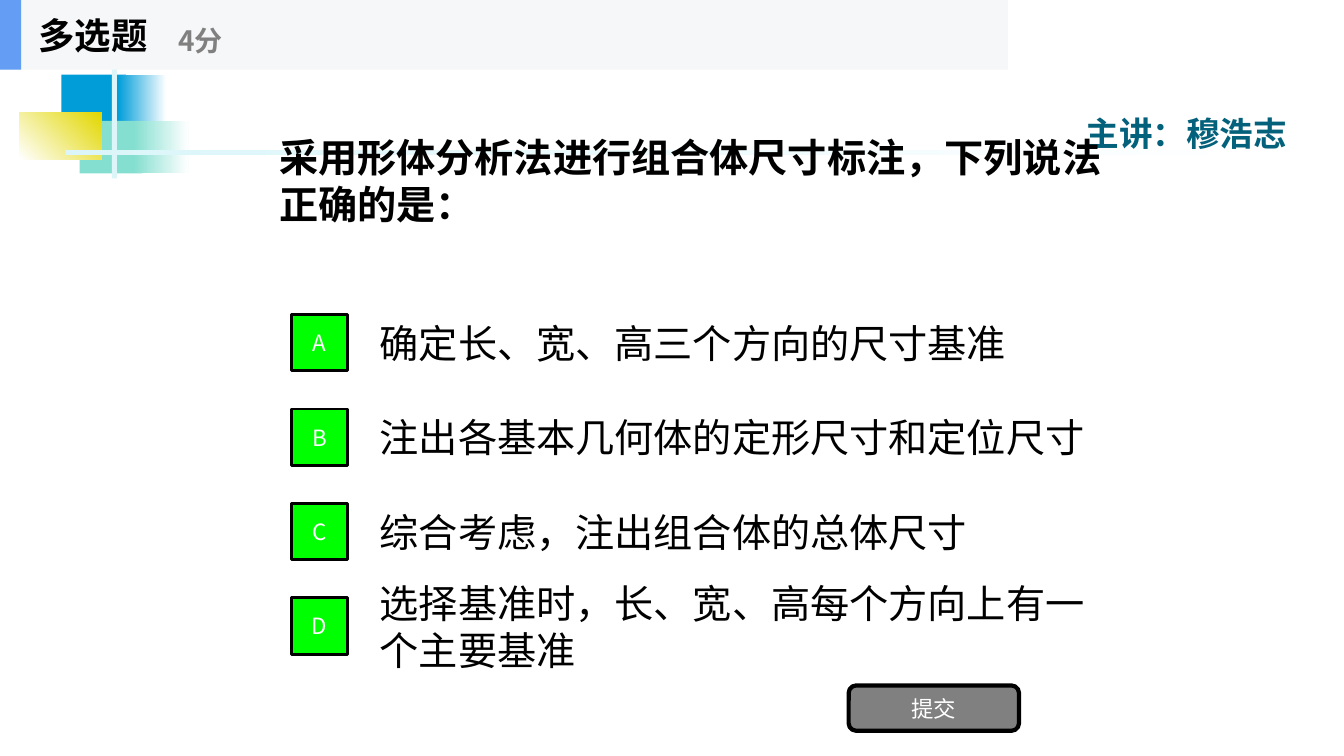
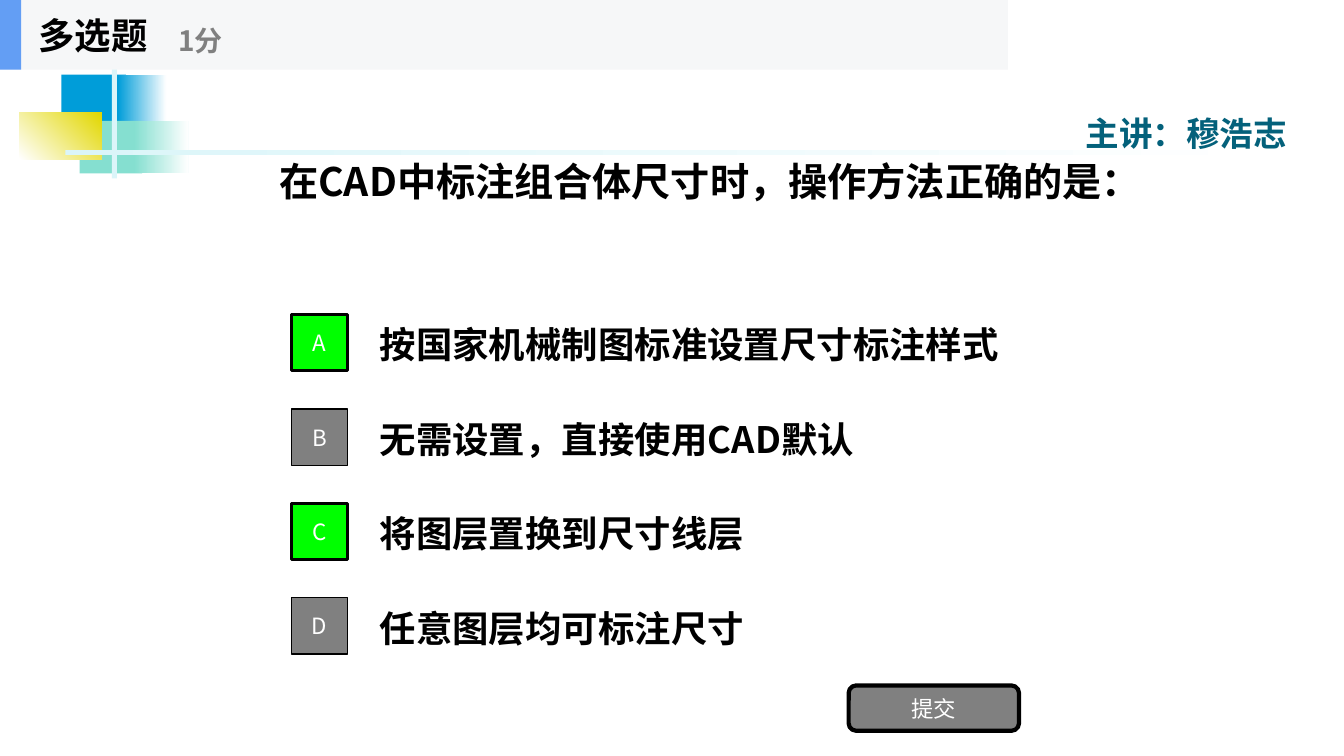
from dataclasses import dataclass

from lxml import etree
from pptx import Presentation
from pptx.dml.color import RGBColor
from pptx.enum.shapes import MSO_SHAPE
from pptx.enum.text import MSO_ANCHOR, MSO_AUTO_SIZE, PP_ALIGN
from pptx.oxml.ns import qn
from pptx.util import Pt

RECT, ROUNDED = MSO_SHAPE.RECTANGLE, MSO_SHAPE.ROUNDED_RECTANGLE
LEFT, CENTER = PP_ALIGN.LEFT, PP_ALIGN.CENTER
MIDDLE = MSO_ANCHOR.MIDDLE
TITLE_ONLY = 5


@dataclass(frozen=True)
class Theme:
    font: str = "Noto Sans CJK SC"
    black: str = "000000"
    white: str = "FFFFFF"
    gray: str = "808080"
    correct: str = "00FF00"
    blue: str = "009DD9"
    mint: str = "85DFD0"
    yellow: str = "E2D700"
    pale: str = "DBF5F9"
    teal: str = "04617B"
    band: str = "F6F7F8"
    accent: str = "639EF4"
    question_size: int = 28
    kind_size: int = 26
    presenter_size: int = 24
    score_size: int = 20
    label_size: int = 16
    leading: float = 33.5


T = Theme()

KIND = "多选题"
PRESENTER = "主讲：穆浩志"
SUBMIT = "提交"

# Each option: text, whether it is correct, box width
QUESTIONS = [
    {
        "score": "4分",
        "question": "采用形体分析法进行组合体尺寸标注，下列说法正确的是：",
        "box": (192.2, 79.9, 611.3, 97.9),
        "format": {"size": 28},
        "options": [
            ("确定长、宽、高三个方向的尺寸基准", True, 504),
            ("注出各基本几何体的定形尺寸和定位尺寸", True, 539.3),
            ("综合考虑，注出组合体的总体尺寸", True, 504),
            ("选择基准时，长、宽、高每个方向上有一个主要基准", True, 539.3),
        ],
    },
    {
        "score": "1分",
        "question": "在CAD中标注组合体尺寸时，操作方法正确的是：",
        "box": (192.2, 89.3, 602.6, 79.2),
        "format": {"size": 26, "bold": True},
        "options": [
            ("按国家机械制图标准设置尺寸标注样式", True, 504),
            ("无需设置，直接使用CAD默认", False, 504),
            ("将图层置换到尺寸线层", True, 504),
            ("任意图层均可标注尺寸", False, 504),
        ],
    },
]

# Box, fill (a colour, or a pair for a gradient), gradient angle
ORNAMENTS = [
    ((43.9, 53.3, 46.1, 37.4), T.blue, 0),
    ((84.2, 53.3, 34.6, 37.4), (T.blue, T.white), 0),
    ((56.9, 86.4, 44.6, 37.4), T.mint, 0),
    ((95.8, 86.4, 38.9, 37.4), (T.mint, T.white), 0),
    ((13.7, 80.6, 59, 33.1), (T.white, T.yellow), 45),
    ((79.9, 44.6, 3.6, 82.8), T.pale, 0),
    ((46.8, 107.3, 864, 3.6), (T.pale, T.white), 0),
]

OPTION_TOP, OPTION_STEP, OPTION_HEIGHT = 219.6, 67.45, 50.4
OPTION_LEFT, BADGE_LEFT, BADGE_SIZE = 264.2, 208.1, 40.3


def rgb(color):
    return RGBColor.from_string(color)


def points(box):
    return [Pt(v) for v in box]


def write(sp, text, size, color=T.black, bold=False, align=LEFT, leading=None):
    tf = sp.text_frame
    tf.word_wrap = True
    tf.auto_size = MSO_AUTO_SIZE.NONE
    tf.vertical_anchor = MIDDLE
    p = tf.paragraphs[0]
    p.alignment = align
    if leading:
        p.line_spacing = Pt(leading)
    r = p.add_run()
    r.text = text
    r.font.size = Pt(size)
    r.font.bold = bold
    r.font.color.rgb = rgb(color)
    r.font.name = T.font
    east_asian = etree.SubElement(r._r.get_or_add_rPr(), qn("a:ea"))
    east_asian.set("typeface", T.font)


def add_text(shapes, box, text, size, **fmt):
    write(shapes.add_textbox(*points(box)), text, size, **fmt)


def add_block(shapes, box, fill, angle=0, line=0, kind=RECT):
    sp = shapes.add_shape(kind, *points(box))
    sp.shadow.inherit = False
    if isinstance(fill, tuple):
        sp.fill.gradient()
        sp.fill.gradient_angle = angle
        for stop, color in zip(sp.fill.gradient_stops, fill):
            stop.color.rgb = rgb(color)
    else:
        sp.fill.solid()
        sp.fill.fore_color.rgb = rgb(fill)
    if line:
        sp.line.width = Pt(line)
        sp.line.color.rgb = rgb(T.black)
    else:
        sp.line.fill.background()
    return sp


def add_button(shapes, box, text, fill, line, kind=RECT):
    sp = add_block(shapes, box, fill, line=line, kind=kind)
    write(sp, text, T.label_size, color=T.white, align=CENTER)


def add_background(shapes):
    for box, fill, angle in ORNAMENTS:
        add_block(shapes, box, fill, angle)
    add_text(shapes, (739.4, 76.3, 216, 36.7), PRESENTER, T.presenter_size,
             color=T.teal, bold=True, align=CENTER)


def add_question(s, question, box):
    """Fill the title and bring it in front of the background."""
    title = s.shapes.title
    title.left, title.top, title.width, title.height = points(box)
    write(title, question, T.question_size, bold=True, leading=T.leading)
    s.shapes.element.append(title.element)


def add_options(shapes, options, fmt):
    for i, (text, correct, width) in enumerate(options):
        top = OPTION_TOP + i * OPTION_STEP
        add_text(shapes, (OPTION_LEFT, top, width, OPTION_HEIGHT), text,
                 leading=T.leading, **fmt)
        badge_top = top + (OPTION_HEIGHT - BADGE_SIZE) / 2
        add_button(shapes, (BADGE_LEFT, badge_top, BADGE_SIZE, BADGE_SIZE),
                   "ABCD"[i], T.correct if correct else T.gray,
                   line=2 if correct else 1)


def add_header(shapes, score):
    header = shapes.add_group_shape().shapes
    add_block(header, (0, 0, 720, 49.7), T.band)
    add_block(header, (0, 0, 15.1, 49.7), T.accent)
    add_text(header, (20.2, 0, 149.8, 49.7), KIND, T.kind_size, bold=True)
    add_text(header, (120.2, 8.6, 180, 40.3), score, T.score_size,
             color=T.gray, bold=True)


def main():
    prs = Presentation()
    prs.slide_width, prs.slide_height = Pt(960), Pt(540)
    for q in QUESTIONS:
        s = prs.slides.add_slide(prs.slide_layouts[TITLE_ONLY])
        add_background(s.shapes)
        add_question(s, q["question"], q["box"])
        add_options(s.shapes, q["options"], q["format"])
        add_button(s.shapes, (606.2, 489.6, 121.7, 32.4), SUBMIT, T.gray,
                   line=3, kind=ROUNDED)
        add_header(s.shapes, q["score"])
    prs.save("out.pptx")


if __name__ == "__main__":
    main()
